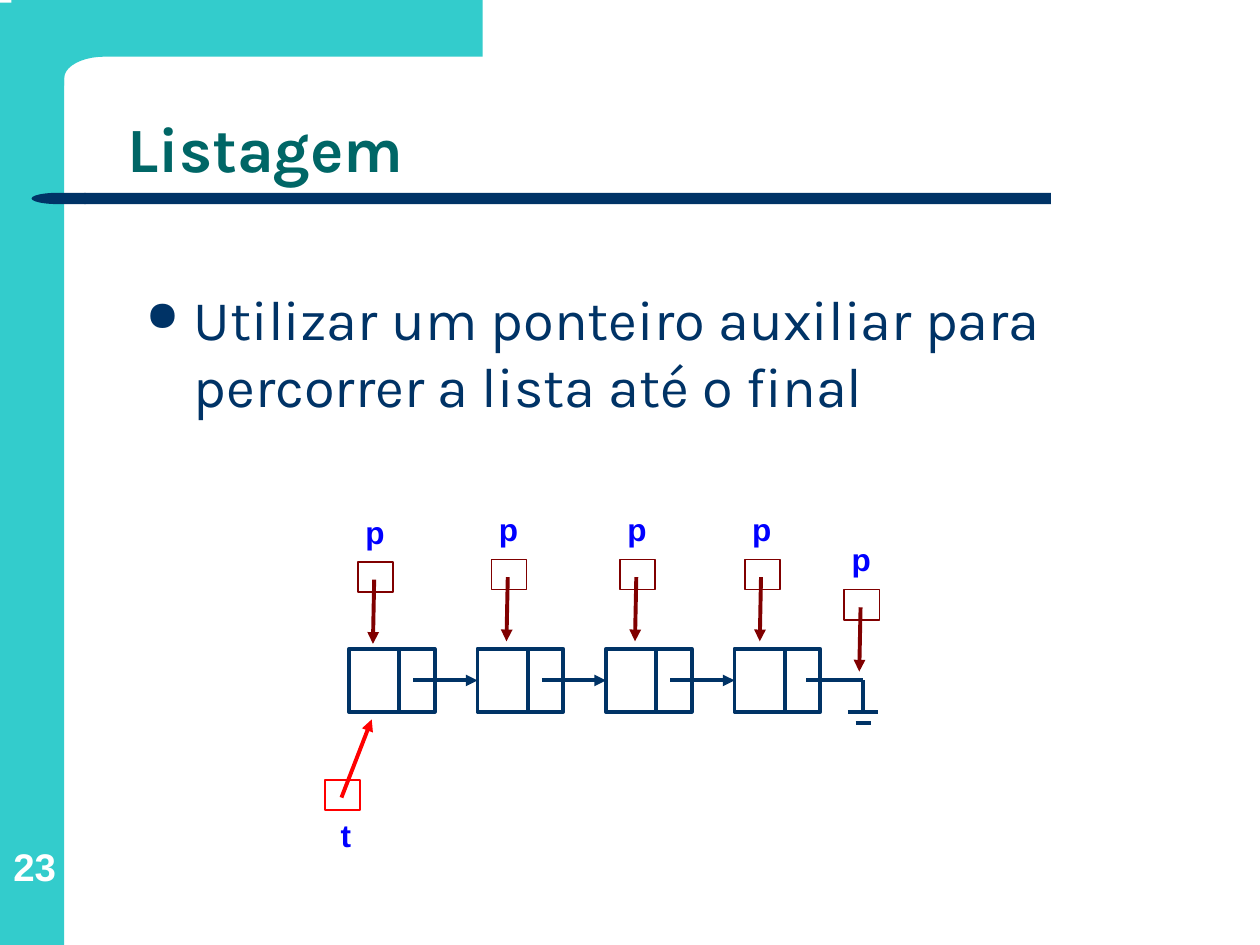
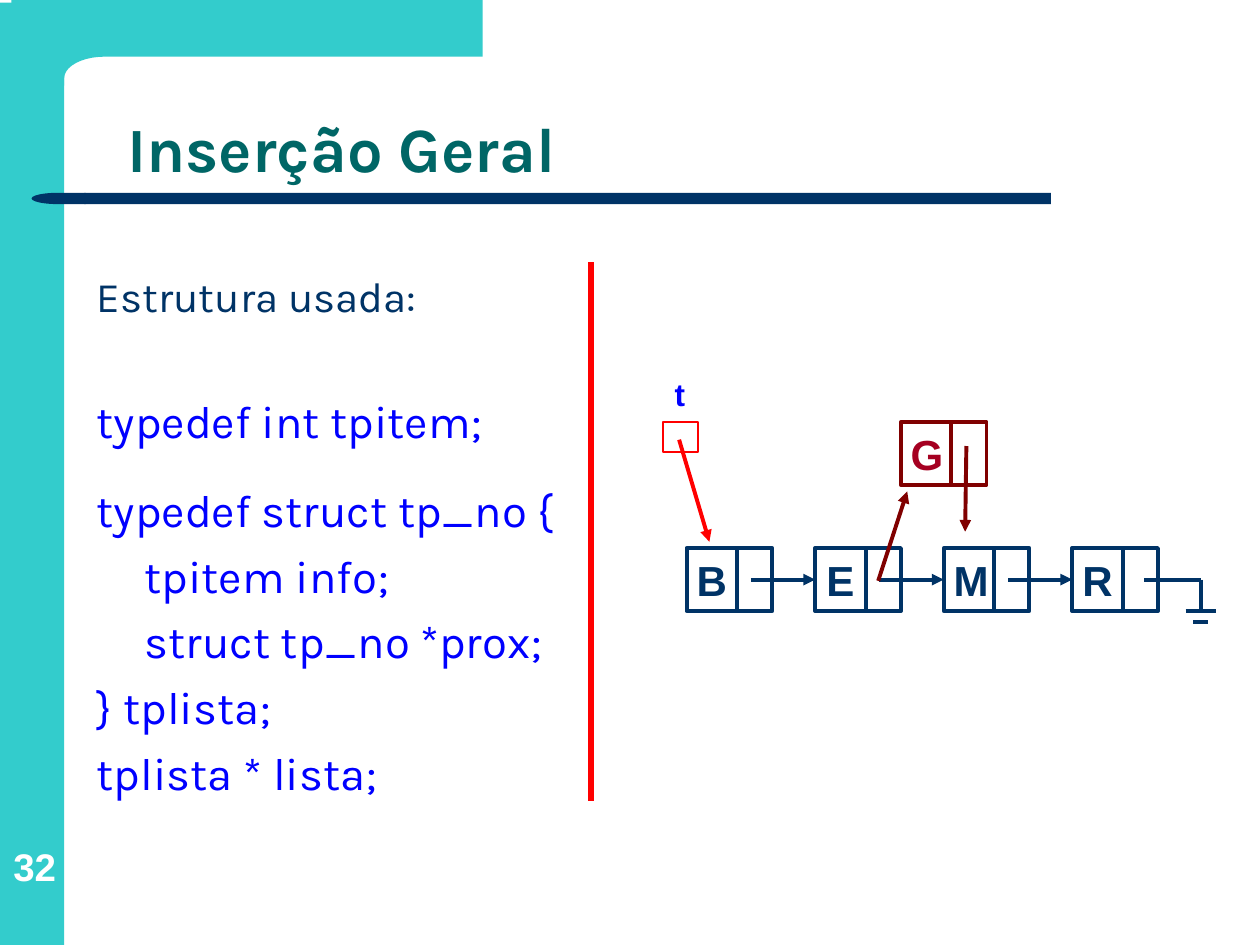
"""Build two slides about linked lists."""
import math

import lxml.etree
import pptx
import pptx.dml.color
import pptx.enum.shapes
import pptx.enum.text
import pptx.oxml.ns
import pptx.util

Inches = pptx.util.Inches
Pt = pptx.util.Pt
Color = pptx.dml.color.RGBColor
Shape = pptx.enum.shapes.MSO_SHAPE
Anchor = pptx.enum.text.MSO_ANCHOR
Align = pptx.enum.text.PP_ALIGN
AutoSize = pptx.enum.text.MSO_AUTO_SIZE
qn = pptx.oxml.ns.qn

TURQUOISE = Color(0x33, 0xCC, 0xCC)
NAVY = Color(0x00, 0x33, 0x66)
TEAL = Color(0x00, 0x66, 0x66)
RED = Color(0xFF, 0x00, 0x00)
MAROON = Color(0x80, 0x00, 0x00)
CRIMSON = Color(0xA5, 0x00, 0x21)
BLUE = Color(0x00, 0x00, 0xFF)
WHITE = Color(0xFF, 0xFF, 0xFF)

TITLE_FONT = {"name": "Karla", "size": Pt(36), "bold": True}
BODY_FONT = {"name": "Karla", "size": Pt(32)}
INTRO_FONT = {"name": "Karla", "size": Pt(24)}
CODE_FONT = {"name": "Karla", "size": Pt(26)}
NUMBER_FONT = {"name": "Arial", "size": Pt(22), "bold": True}
POINTER_FONT = {"name": "Arial", "size": Pt(18), "bold": True}
ITEM_FONT = {"name": "Arial", "size": Pt(24), "bold": True}
NO_MARGINS = dict.fromkeys(
    ("margin_left", "margin_top", "margin_right", "margin_bottom"), 0)

NODE_PITCH = 1.02
NODE_HEIGHT = 0.5
ITEM_WIDTH = 0.4
LINK_WIDTH = 0.28
HANG = 0.38


def apply(target, values):
    """Set every attribute named in values on target."""
    for name, value in values.items():
        setattr(target, name, value)


def write(paragraph, text, font, color):
    """Add one formatted span to a paragraph."""
    span = paragraph.add_run()
    span.text = text
    apply(span.font, font)
    span.font.color.rgb = color


def add_text(shapes, left, top, width, height, frame_format):
    """Add a text box and return its text frame."""
    box = shapes.add_textbox(Inches(left), Inches(top), Inches(width), Inches(height))
    apply(box.text_frame, {"word_wrap": True, **frame_format})
    return box.text_frame


def add_label(shapes, left, top, width, height, text, font, color):
    """Add a centred unwrapped label."""
    frame = add_text(shapes, left, top, width, height,
                     {"word_wrap": False, "auto_size": AutoSize.SHAPE_TO_FIT_TEXT})
    frame.paragraphs[0].alignment = Align.CENTER
    write(frame.paragraphs[0], text, font, color)


def fill_plain(shape, color):
    """Give a shape a solid fill without line or shadow."""
    shape.shadow.inherit = False
    shape.fill.solid()
    shape.fill.fore_color.rgb = color
    shape.line.fill.background()


def add_filled(shapes, kind, left, top, width, height, color):
    """Add a filled preset shape."""
    shape = shapes.add_shape(kind, Inches(left), Inches(top), Inches(width), Inches(height))
    fill_plain(shape, color)
    return shape


def add_outline(shapes, left, top, width, height, color, weight):
    """Add an unfilled rectangle."""
    shape = shapes.add_shape(
        Shape.RECTANGLE, Inches(left), Inches(top), Inches(width), Inches(height))
    shape.shadow.inherit = False
    shape.fill.background()
    shape.line.color.rgb = color
    shape.line.width = Pt(weight)


def add_line(shapes, start, end, color, weight=2.25, arrow=False):
    """Add a straight line, with an arrowhead at its end if asked."""
    line = shapes.add_connector(
        pptx.enum.shapes.MSO_CONNECTOR.STRAIGHT, *map(Inches, (*start, *end)))
    line.line.color.rgb = color
    line.line.width = Pt(weight)
    properties = line._element.spPr
    if arrow:
        lxml.etree.SubElement(properties.get_or_add_ln(), qn("a:tailEnd"), type="triangle")
    lxml.etree.SubElement(properties, qn("a:effectLst"))


def set_indent(paragraph, margin, indent):
    """Set the left margin and first-line indent of a paragraph."""
    properties = paragraph._p.get_or_add_pPr()
    properties.set("marL", str(Inches(margin)))
    properties.set("indent", str(Inches(indent)))
    return properties


def set_bullet(paragraph, color):
    """Give a paragraph a round hanging bullet."""
    properties = set_indent(paragraph, HANG, -HANG)
    bullet_color = lxml.etree.SubElement(properties, qn("a:buClr"))
    lxml.etree.SubElement(bullet_color, qn("a:srgbClr"), val=str(color))
    lxml.etree.SubElement(properties, qn("a:buSzPct"), val="75000")
    lxml.etree.SubElement(properties, qn("a:buChar"), char="●")


def draw_frame(shapes):
    """Draw the side band, the top band with its round corner and the title rule."""
    add_filled(shapes, Shape.RECTANGLE, 0, 0.02, 0.51, 7.48, TURQUOISE)
    angles = [math.radians(step * 9) for step in range(11)]
    corner = [(0.83 - 0.32 * math.sin(angle), 0.62 - 0.17 * math.cos(angle))
              for angle in angles]
    outline = [(3.83, 0.45), *corner, (0.51, 0.68), (0.09, 0.68), (0.09, 0)]
    builder = shapes.build_freeform(Inches(3.83), 0)
    builder.add_line_segments([(Inches(x), Inches(y)) for x, y in outline], close=True)
    fill_plain(builder.convert_to_shape(), TURQUOISE)
    rule = shapes.add_group_shape().shapes
    add_filled(rule, Shape.RECTANGLE, 0.67, 1.53, 7.67, 0.09, NAVY)
    add_filled(rule, Shape.FLOWCHART_DELAY, 0.25, 1.53, 0.43, 0.09, NAVY).rotation = 180


def add_page(deck, title, number):
    """Add a slide with the shared frame, title and page number."""
    page = deck.slides.add_slide(deck.slide_layouts.get_by_name("Title Only"))
    draw_frame(page.shapes)
    heading = page.shapes.title
    apply(heading, {"left": Inches(0.91), "top": Inches(0.44),
                    "width": Inches(8.51), "height": Inches(1.09)})
    apply(heading.text_frame, {"vertical_anchor": Anchor.BOTTOM, "word_wrap": True,
                               "auto_size": AutoSize.NONE})
    paragraph = heading.text_frame.paragraphs[0]
    apply(paragraph, {"alignment": Align.LEFT, "line_spacing": 0.9})
    write(paragraph, title, TITLE_FONT, TEAL)
    frame = add_text(page.shapes, 0.03, 6.52, 0.49, 0.54,
                     {"vertical_anchor": Anchor.BOTTOM, **NO_MARGINS})
    frame.paragraphs[0].alignment = Align.CENTER
    write(frame.paragraphs[0], number, NUMBER_FONT, WHITE)
    return page


def draw_node(shapes, left, top, color, item="", item_color=NAVY):
    """Draw a list node: an item cell, a link cell and the item."""
    add_outline(shapes, left, top, ITEM_WIDTH, NODE_HEIGHT, color, 2.25)
    add_outline(shapes, left + ITEM_WIDTH, top, LINK_WIDTH, NODE_HEIGHT, color, 2.25)
    if item:
        add_label(shapes, left - 0.02, top, 0.44, 0.5, item, ITEM_FONT, item_color)


def draw_list(shapes, left, top, items):
    """Draw linked nodes that end in a ground symbol."""
    middle = top + NODE_HEIGHT / 2
    bottom = top + NODE_HEIGHT
    for index, item in enumerate(items):
        node_left = left + index * NODE_PITCH
        next_left = node_left + NODE_PITCH
        is_last = index == len(items) - 1
        draw_node(shapes, node_left, top, NAVY, item)
        link_start = node_left + (0.57 if is_last else 0.51)
        add_line(shapes, (link_start, middle), (next_left, middle), NAVY, arrow=not is_last)
    ground = left + len(items) * NODE_PITCH
    add_line(shapes, (ground, middle), (ground, bottom), NAVY)
    for half_width, drop in ((0.12, 0), (0.06, 0.09)):
        add_line(shapes, (ground - half_width, bottom + drop),
                 (ground + half_width, bottom + drop), NAVY)


def draw_pointer(shapes, left, top, name, color, tip=(0.12, 0.65), label=(-0.04, -0.44)):
    """Draw a named pointer box; tip and label are offsets from its corner."""
    group = shapes.add_group_shape().shapes
    add_outline(group, left, top, 0.28, 0.24, color, 1)
    add_line(group, (left + 0.13, top + 0.14), (left + tip[0], top + tip[1]),
             color, arrow=True)
    add_label(group, left + label[0], top + label[1], 0.35, 0.4, name, POINTER_FONT, BLUE)


def write_code(shapes, left, top, width, height):
    """Write the structure definition."""
    lines = [
        ("Estrutura usada:", INTRO_FONT, NAVY, 6, False),
        ("typedef int tpitem;", CODE_FONT, BLUE, 41, False),
        ("typedef struct tp_no {", CODE_FONT, BLUE, 19.5, False),
        ("tpitem info;", CODE_FONT, BLUE, 6.5, True),
        ("struct tp_no *prox;", CODE_FONT, BLUE, 6.5, True),
        ("} tplista;", CODE_FONT, BLUE, 6.5, False),
        ("tplista * lista;", CODE_FONT, BLUE, 6.5, False),
    ]
    frame = add_text(shapes, left, top, width, height, {})
    for index, (text, font, color, gap, nested) in enumerate(lines):
        paragraph = frame.add_paragraph() if index else frame.paragraphs[0]
        paragraph.space_before = Pt(gap)
        set_indent(paragraph, HANG, 0 if nested else -HANG)
        write(paragraph, text, font, color)


def build_listing(deck):
    """Build the slide on walking through the list."""
    page = add_page(deck, "Listagem", "23")
    frame = add_text(page.shapes, 1.06, 2.21, 8.03, 3.04, {})
    paragraph = frame.paragraphs[0]
    paragraph.space_before = Pt(8)
    set_bullet(paragraph, NAVY)
    write(paragraph, "Utilizar um ponteiro auxiliar para percorrer a lista até o final",
          BODY_FONT, NAVY)
    draw_list(page.shapes.add_group_shape().shapes, 2.77, 5.15, [""] * 4)
    draw_pointer(page.shapes, 2.58, 6.19, "t", RED, (0.37, -0.48), (-0.01, 0.24))
    for left, top in ((2.84, 4.46), (3.9, 4.44), (4.92, 4.44), (5.91, 4.44), (6.7, 4.68)):
        draw_pointer(page.shapes, left, top, "p", MAROON)


def build_insertion(deck):
    """Build the slide on inserting a node between two others."""
    page = add_page(deck, "Inserção Geral", "32")
    shapes = page.shapes
    write_code(shapes, 0.67, 2.1, 3.94, 4.65)
    add_line(shapes, (4.69, 2.08), (4.69, 6.36), RED, 3)
    draw_list(shapes, 5.45, 4.35, "BEMR")
    draw_pointer(shapes, 5.26, 3.35, "t", RED, (0.37, 0.95), (-0.04, -0.42))
    draw_node(shapes.add_group_shape().shapes, 7.15, 3.35, MAROON, "G", CRIMSON)
    add_line(shapes, (7.67, 3.54), (7.66, 4.22), MAROON, arrow=True)
    add_line(shapes, (6.97, 4.61), (7.2, 3.9), MAROON, arrow=True)


def main():
    """Create the deck and save it."""
    deck = pptx.Presentation()
    apply(deck, {"slide_width": Inches(10), "slide_height": Inches(7.5)})
    build_listing(deck)
    build_insertion(deck)
    deck.save("out.pptx")


if __name__ == "__main__":
    main()
